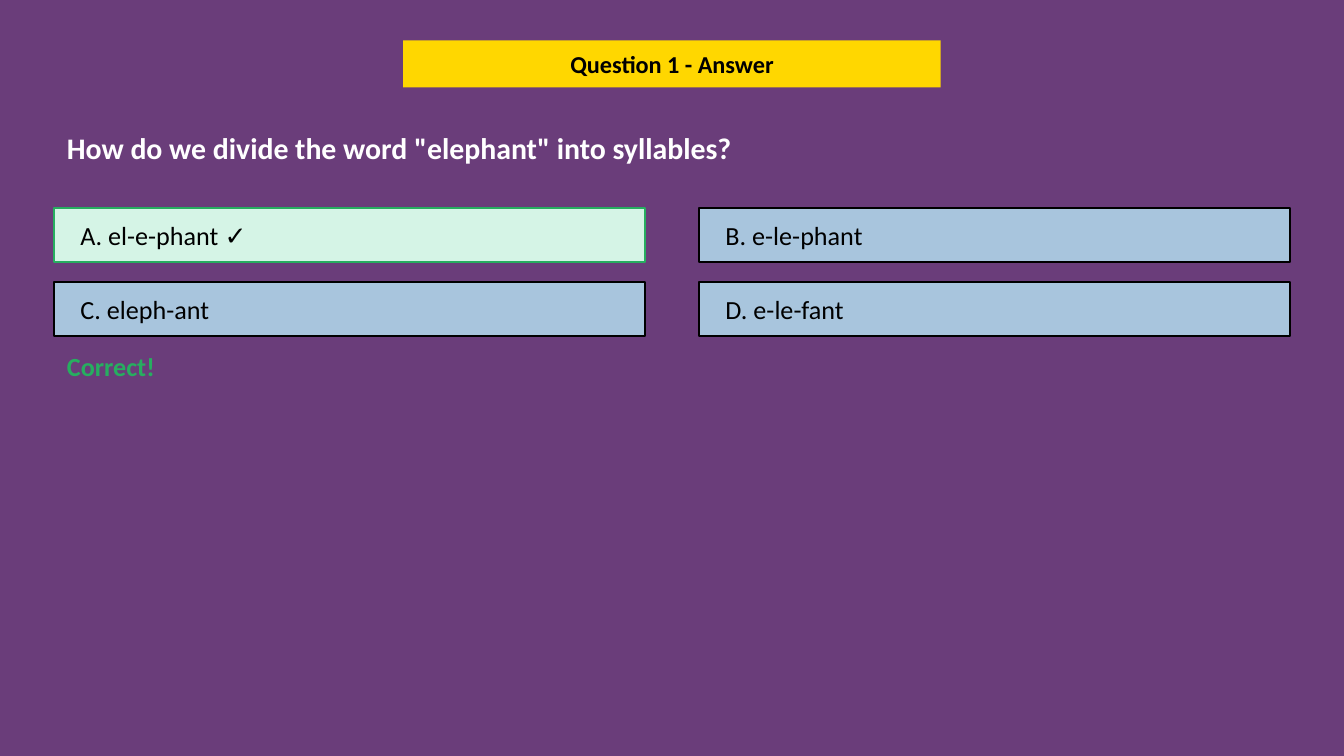
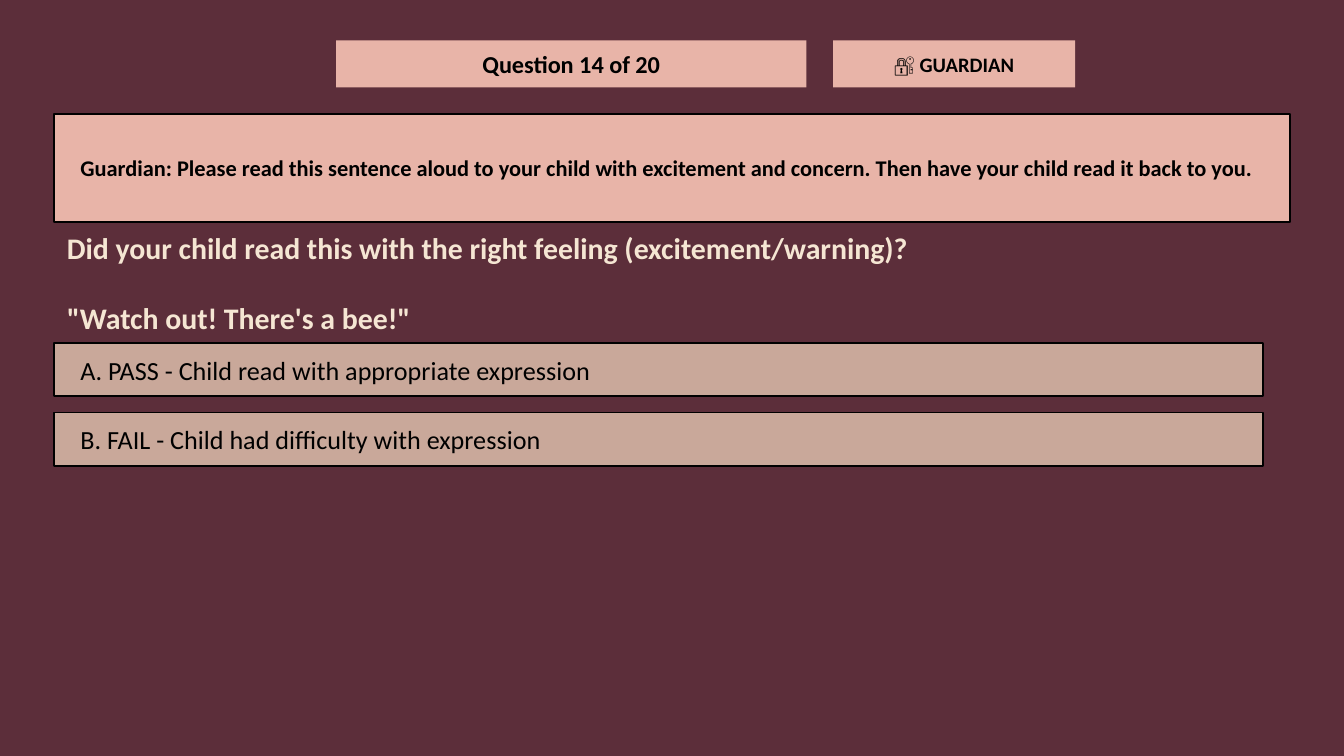
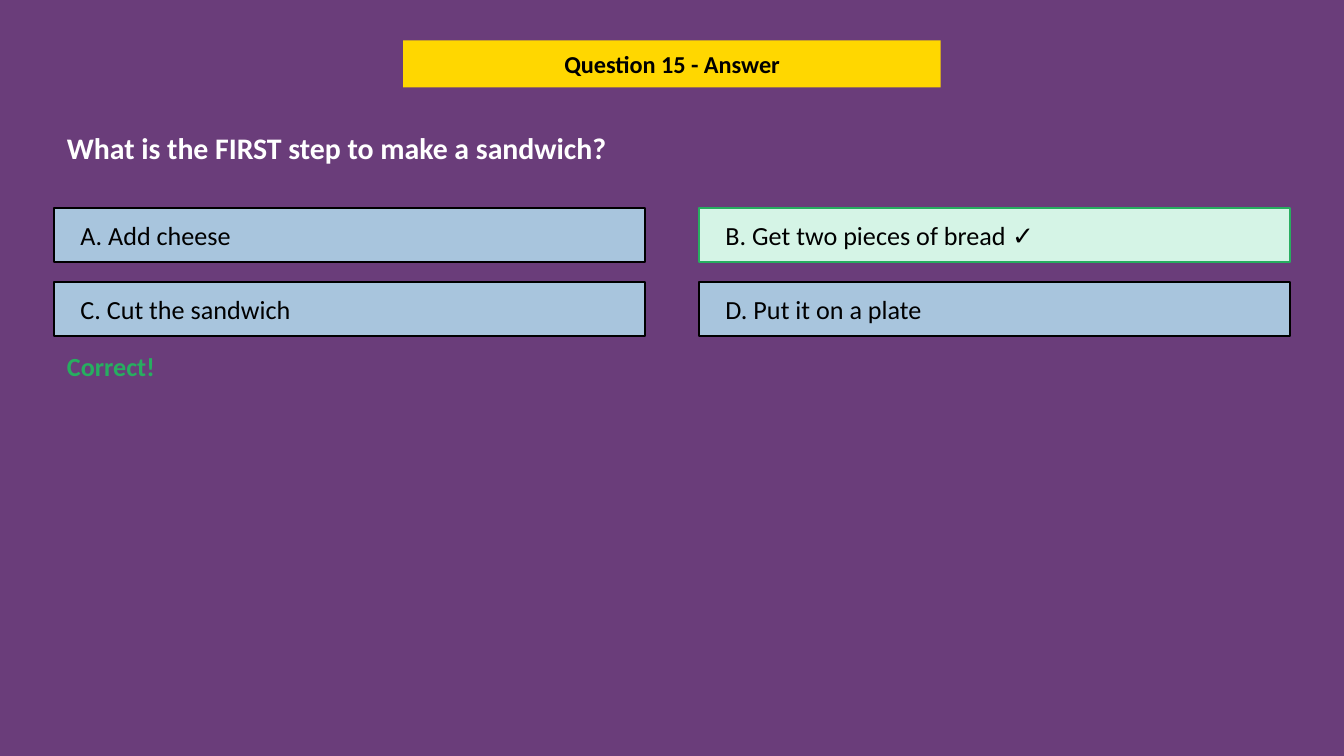
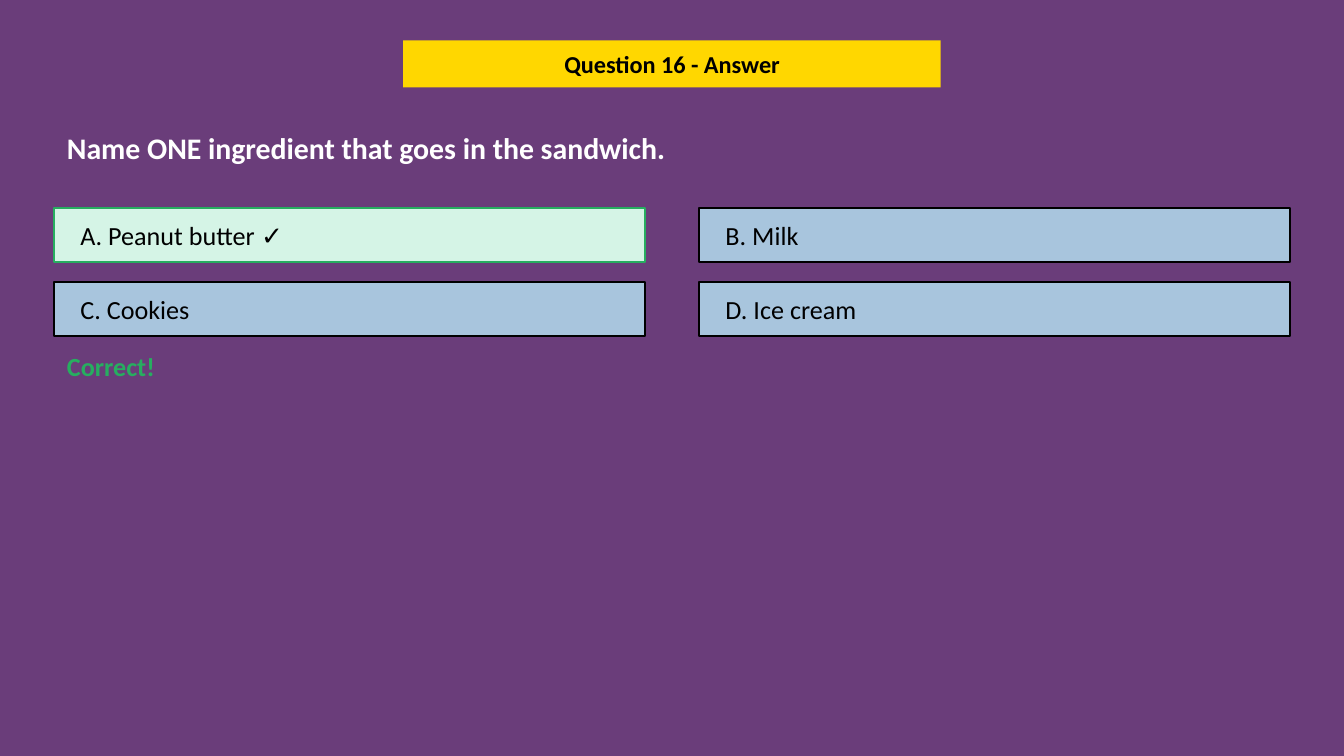
"""Build four reading-quiz slides: three answer pages and one guardian page."""
from dataclasses import dataclass

from pptx import Presentation
from pptx.dml.color import RGBColor as Color
from pptx.enum.shapes import MSO_SHAPE as Preset
from pptx.enum.text import MSO_ANCHOR as Anchor, MSO_AUTO_SIZE as AutoSize, PP_ALIGN as Align
from pptx.util import Inches, Pt

TITLE_ONLY = 5


@dataclass(frozen=True)
class Palette:
    """Colours of one kind of quiz page."""
    ground: str
    banner: str
    question: str
    option: str


@dataclass(frozen=True)
class Theme:
    """Colours, type sizes and measures that all pages share."""
    answer = Palette("6A3D7A", "FFD700", "FFFFFF", "A8C5DD")
    guardian = Palette("5C2E3A", "E8B4A8", "F5E6D3", "C9A89A")
    ink = "000000"
    correct = "27AE60"
    correct_fill = "D5F4E6"
    font = "Calibri"
    banner_size = 13
    badge_size = 11
    note_size = 12
    question_size = 16
    option_size = 14
    paragraph_gap = 18.4
    left = 0.4
    width = 9.2
    banner_top = 0.3
    banner_height = 0.35
    option_height = 0.4
    column_pitch = 4.8
    card_inset = 0.1


THEME = Theme()


def apply_format(target, values):
    """Set each named attribute of the target."""
    for name, value in values.items():
        setattr(target, name, value)


def write(shape, lines, size, color=THEME.ink, bold=True, align=Align.LEFT):
    """Fill a shape with paragraphs in one style."""
    frame = shape.text_frame
    apply_format(frame, {
        "word_wrap": True, "auto_size": AutoSize.NONE, "vertical_anchor": Anchor.MIDDLE})
    for index, line in enumerate(lines):
        para = frame.add_paragraph() if index else frame.paragraphs[0]
        apply_format(para, {
            "alignment": align, "space_before": Pt(THEME.paragraph_gap if index else 0)})
        span = para.add_run()
        span.text = line
        apply_format(span.font, {"name": THEME.font, "size": Pt(size), "bold": bold})
        span.font.color.rgb = Color.from_string(color)


def paint(shape, fill, line=None):
    """Give a shape a solid fill and an optional thin outline."""
    shape.fill.solid()
    shape.fill.fore_color.rgb = Color.from_string(fill)
    if line:
        shape.line.color.rgb = Color.from_string(line)
        shape.line.width = Pt(1)
    else:
        shape.line.fill.background()


def add_box(page, left, top, width, height, fill, line=None):
    """Add a flat rectangle."""
    box = page.shapes.add_shape(
        Preset.RECTANGLE, Inches(left), Inches(top), Inches(width), Inches(height))
    box.shadow.inherit = False
    paint(box, fill, line)
    return box


def add_label(page, left, top, width, height, lines, size, color=THEME.ink, bold=True):
    """Add left-aligned text in a text box."""
    label = page.shapes.add_textbox(
        Inches(left), Inches(top), Inches(width), Inches(height))
    write(label, lines, size, color, bold)


def add_card(page, left, top, width, height, fill, line, text, size, bold, rise):
    """Add an outlined rectangle with a text box set inside it."""
    inset = THEME.card_inset
    add_box(page, left, top, width, height, fill, line)
    add_label(page, left + inset, top + rise, width - 2 * inset, height - 2 * rise,
              [text], size, bold=bold)


def add_page(deck, palette, title, left, width):
    """Add a page with its background and title banner."""
    page = deck.slides.add_slide(deck.slide_layouts[TITLE_ONLY])
    page.background.fill.solid()
    page.background.fill.fore_color.rgb = Color.from_string(palette.ground)
    banner = page.shapes.title
    apply_format(banner, {
        "left": Inches(left), "top": Inches(THEME.banner_top),
        "width": Inches(width), "height": Inches(THEME.banner_height)})
    paint(banner, palette.banner)
    write(banner, [title], THEME.banner_size, align=Align.CENTER)
    return page


def add_options(page, palette, options, top, columns, width, pitch, correct=None):
    """Lay lettered options out in a grid and mark the correct one."""
    for index, (letter, option) in enumerate(zip("ABCD", options)):
        row, column = divmod(index, columns)
        is_correct = letter == correct
        fill, line, mark = (
            (THEME.correct_fill, THEME.correct, " ✓") if is_correct
            else (palette.option, THEME.ink, ""))
        add_card(page, THEME.left + column * THEME.column_pitch, top + row * pitch,
                 width, THEME.option_height, fill, line,
                 f"{letter}. {option}{mark}", THEME.option_size, False, 0.02)


def add_answer_page(deck, number, question, options, correct):
    """Add a page that shows a question with its correct answer."""
    palette = THEME.answer
    page = add_page(deck, palette, f"Question {number} - Answer", 3, 4)
    add_label(page, THEME.left, 0.85, THEME.width, 0.5,
              [question], THEME.question_size, palette.question)
    add_options(page, palette, options, 1.55, 2, 4.4, 0.55, correct)
    add_label(page, THEME.left, 2.55, THEME.width, 0.35,
              ["Correct!"], THEME.option_size, THEME.correct)


def add_guardian_page(deck, number, note, question_lines, options):
    """Add a page on which a guardian judges the child's reading."""
    palette = THEME.guardian
    page = add_page(deck, palette, f"Question {number} of 20", 2.5, 3.5)
    badge = add_box(page, 6.2, THEME.banner_top, 1.8, THEME.banner_height, palette.banner)
    write(badge, ["🔐 GUARDIAN"], THEME.badge_size, align=Align.CENTER)
    add_card(page, THEME.left, 0.85, THEME.width, 0.8, palette.banner, THEME.ink,
             note, THEME.note_size, True, 0.05)
    add_label(page, THEME.left, 1.85, THEME.width, 0.5,
              question_lines, THEME.question_size, palette.question)
    add_options(page, palette, options, 2.55, 1, 9, 0.52)


def main():
    """Build and save the deck."""
    deck = Presentation()
    apply_format(deck, {"slide_width": Inches(10), "slide_height": Inches(10) * 9 // 16})
    add_answer_page(
        deck, 1, 'How do we divide the word "elephant" into syllables?',
        ["el-e-phant", "e-le-phant", "eleph-ant", "e-le-fant"], "A")
    add_guardian_page(
        deck, 14,
        "Guardian: Please read this sentence aloud to your child with excitement and concern. "
        "Then have your child read it back to you.",
        ["Did your child read this with the right feeling (excitement/warning)?",
         '"Watch out! There\'s a bee!"'],
        ["PASS - Child read with appropriate expression",
         "FAIL - Child had difficulty with expression"])
    add_answer_page(
        deck, 15, "What is the FIRST step to make a sandwich?",
        ["Add cheese", "Get two pieces of bread", "Cut the sandwich", "Put it on a plate"], "B")
    add_answer_page(
        deck, 16, "Name ONE ingredient that goes in the sandwich.",
        ["Peanut butter", "Milk", "Cookies", "Ice cream"], "A")
    deck.save("out.pptx")


if __name__ == "__main__":
    main()
